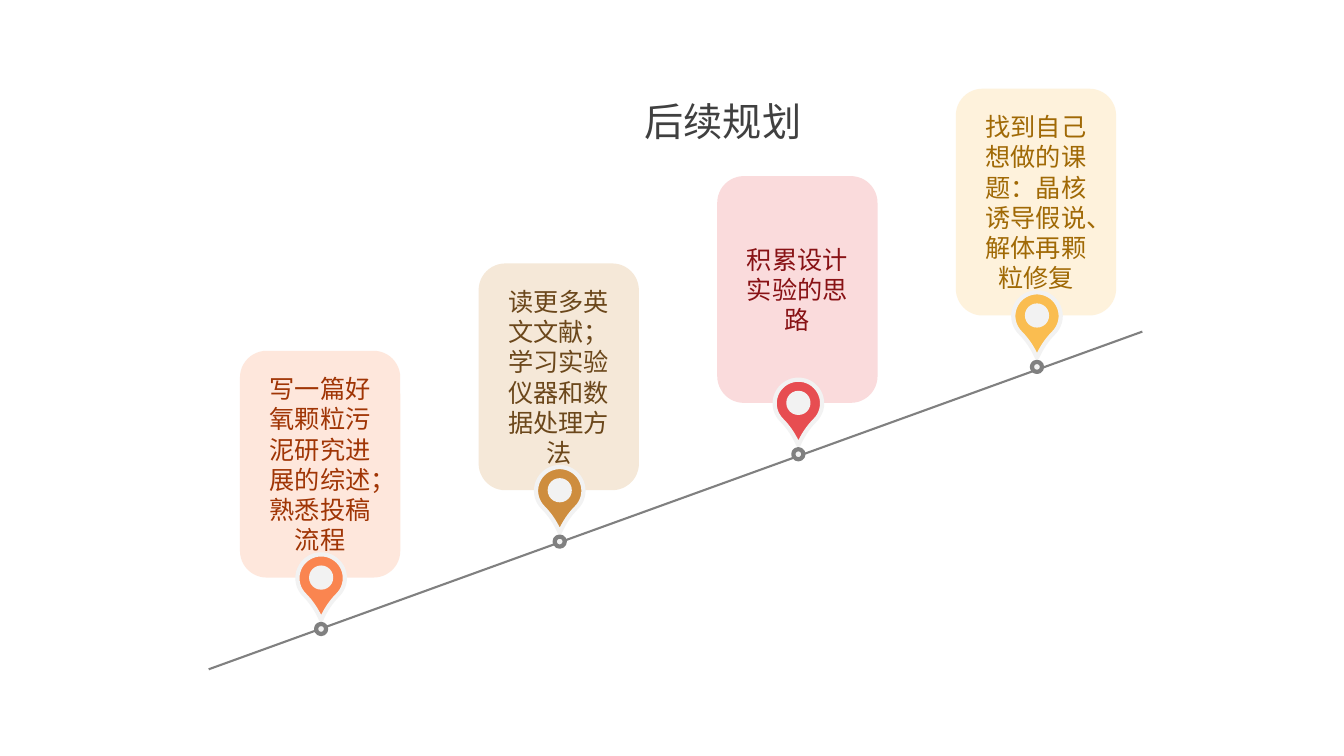
import pptx
import pptx.util
import pptx.dml.color
import pptx.enum.shapes
import pptx.enum.text
import pptx.oxml.ns
from lxml import etree

Inches = pptx.util.Inches
Pt = pptx.util.Pt
SHAPE = pptx.enum.shapes.MSO_SHAPE
ANCHOR = pptx.enum.text.MSO_ANCHOR
qn = pptx.oxml.ns.qn

GRAY = "808080"
PALE = "F2F2F2"


def color(hex_code):
    return pptx.dml.color.RGBColor.from_string(hex_code)


def write(frame, text, size, ink, font="Noto Sans CJK SC", wrap=True, anchor=ANCHOR.MIDDLE):
    frame.word_wrap = wrap
    frame.vertical_anchor = anchor
    paragraph = frame.paragraphs[0]
    paragraph.alignment = pptx.enum.text.PP_ALIGN.CENTER
    run = paragraph.add_run()
    run.text = text
    run.font.size = Pt(size)
    run.font.color.rgb = color(ink)
    run.font.name = font
    east_asian = etree.SubElement(run.font._element, qn("a:ea"))
    east_asian.set("typeface", "Noto Sans CJK SC")


deck = pptx.Presentation()
deck.slide_width = Inches(13.33)
deck.slide_height = Inches(7.5)
slide = deck.slides.add_slide(deck.slide_layouts[6])

# Title
title = slide.shapes.add_textbox(Inches(6.29), Inches(0.92), Inches(1.76), Inches(0.57))
write(title.text_frame, "后续规划", 28, "404040", font="Times New Roman",
      wrap=False, anchor=ANCHOR.TOP)
title.text_frame.auto_size = pptx.enum.text.MSO_AUTO_SIZE.SHAPE_TO_FIT_TEXT

# Rising path
rising_path = slide.shapes.add_connector(
    pptx.enum.shapes.MSO_CONNECTOR.STRAIGHT,
    Inches(11.33), Inches(3.29), Inches(2.07), Inches(6.64))
rising_path.line.color.rgb = color(GRAY)
rising_path.line.width = Pt(1.5)
etree.SubElement(rising_path._element.spPr, qn("a:effectLst"))

# Plan steps: text, card colour, text colour, pin colour
steps = [
    ("写一篇好氧颗粒污泥研究进展的综述；熟悉投稿流程", "FEE7DC", "A03505", "FA8550"),
    ("读更多英文文献；学习实验仪器和数据处理方法", "F5E8D8", "6B471B", "CE8D3E"),
    ("积累设计实验的思路", "FADBDC", "881215", "E74D51"),
    ("找到自己想做的课题：晶核诱导假说、解体再颗粒修复", "FEF2DC", "A06905", "FABD50"),
]
CARD_WIDTH, CARD_HEIGHT = 1.59, 2.25
FIRST_LEFT, FIRST_TOP = 2.38, 3.48
STEP_RIGHT, STEP_UP = 7.1 / 3, 2.6 / 3

for index, (text, card_fill, ink, pin_fill) in enumerate(steps):
    left = FIRST_LEFT + index * STEP_RIGHT
    top = FIRST_TOP - index * STEP_UP
    center = left + CARD_WIDTH / 2 + 0.01

    # Card, pin, pin hole and path dot, from back to front
    parts = [
        (SHAPE.ROUNDED_RECTANGLE, left, top, CARD_WIDTH, CARD_HEIGHT, 0, card_fill, None),
        (SHAPE.TEAR, center - 0.235, top + 2.02, 0.47, 0.47, 135, pin_fill, PALE),
        (SHAPE.OVAL, center - 0.12, top + 2.13, 0.24, 0.24, 135, PALE, None),
        (SHAPE.OVAL, center - 0.05, top + 2.71, 0.1, 0.1, 0, PALE, GRAY),
    ]
    for kind, x, y, width, height, angle, fill, outline in parts:
        part = slide.shapes.add_shape(kind, Inches(x), Inches(y), Inches(width), Inches(height))
        part.shadow.inherit = False
        part.rotation = angle
        part.fill.solid()
        part.fill.fore_color.rgb = color(fill)
        if outline:
            part.line.color.rgb = color(outline)
            part.line.width = Pt(3)
        else:
            part.line.fill.background()
        if kind == SHAPE.TEAR:
            part.adjustments[0] = 1.25
        if kind == SHAPE.ROUNDED_RECTANGLE:
            write(part.text_frame, text, 18, ink)

deck.save("out.pptx")
